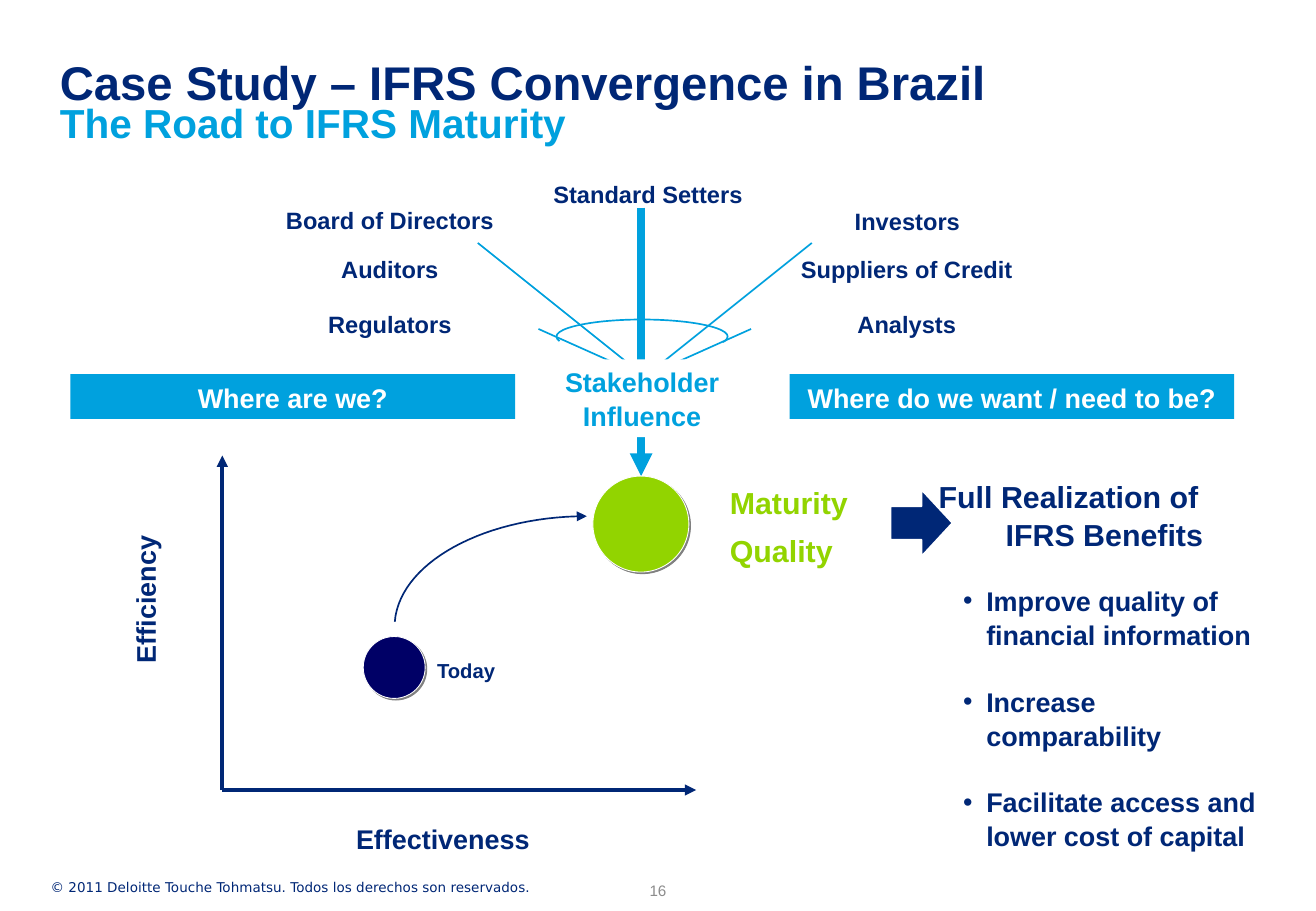
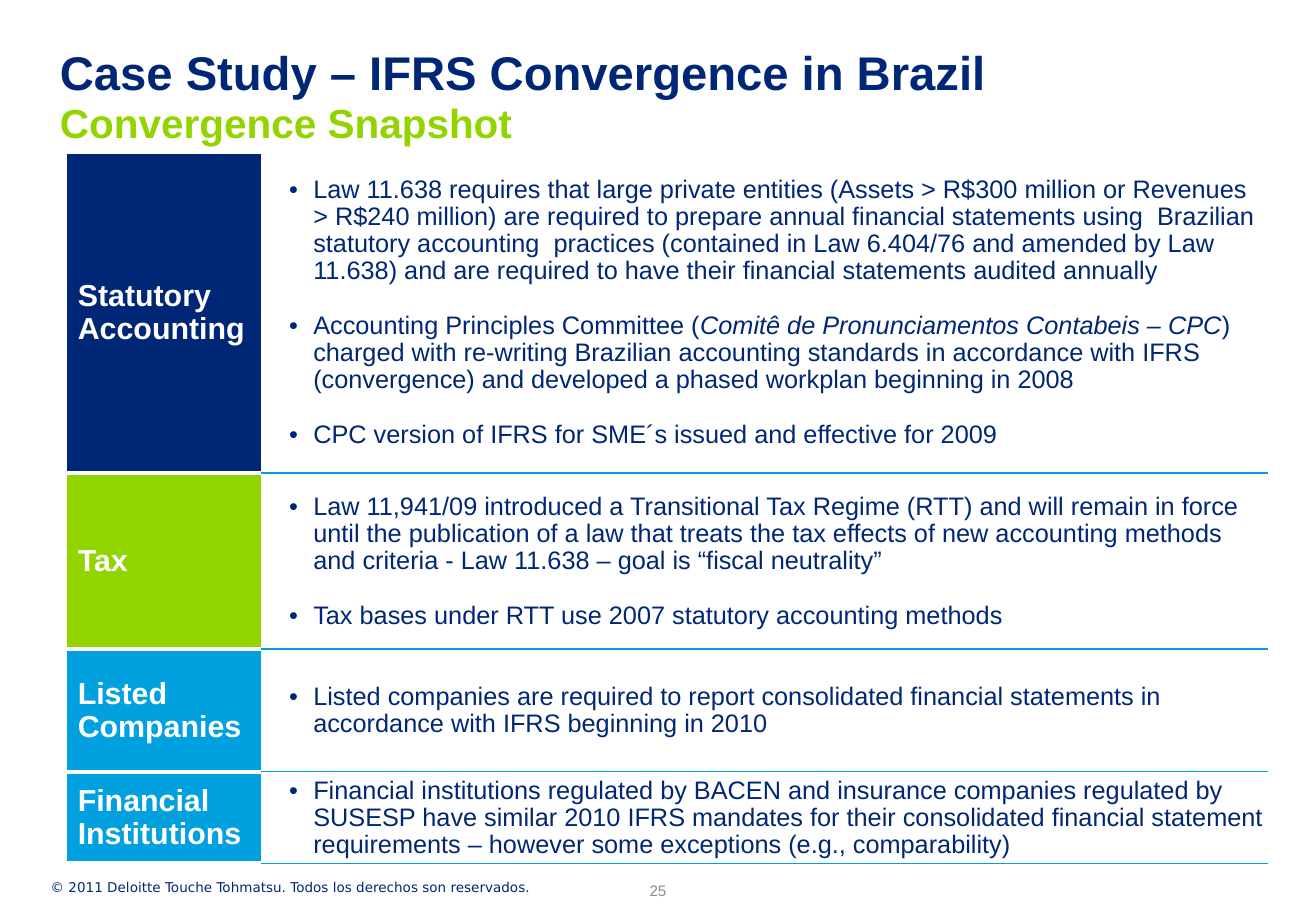
from pptx import Presentation
from pptx.dml.color import RGBColor
from pptx.enum import shapes, text
from pptx.oxml import parse_xml
from pptx.oxml.ns import nsdecls
from pptx.util import Pt

NAVY = RGBColor(0x00, 0x27, 0x76)
DEEP_BLUE = RGBColor(0x00, 0x00, 0x66)
CYAN = RGBColor(0x00, 0xA1, 0xDE)
GREEN = RGBColor(0x92, 0xD4, 0x00)
GREY = RGBColor(0x8C, 0x8C, 0x8C)
WHITE = RGBColor(0xFF, 0xFF, 0xFF)

LEFT, CENTER = text.PP_ALIGN.LEFT, text.PP_ALIGN.CENTER
MIDDLE, BOTTOM = text.MSO_ANCHOR.MIDDLE, text.MSO_ANCHOR.BOTTOM
SHAPE = shapes.MSO_SHAPE
TITLE = "Case Study – IFRS Convergence in Brazil"
COPYRIGHT = "© 2011 Deloitte Touche Tohmatsu. Todos los derechos son reservados."


def element(markup):
    """Parse one drawing element, given without its namespace."""
    tag, rest = markup.split(" ", 1)
    return parse_xml(f"{tag} {nsdecls('a')} {rest}")


class Deck:
    def __init__(self):
        self.presentation = Presentation()
        self.presentation.slide_width = Pt(780)
        self.presentation.slide_height = Pt(540)
        self.slide = None

    def new_slide(self, subtitle, color, number, title_top, title_spacing):
        """Start a slide with its title, subtitle and footer."""
        self.slide = self.presentation.slides.add_slide(self.presentation.slide_layouts[6])
        self.label(subtitle, 35.5, 61.2, 711, 25, size=24, color=color, spacing=0.9, inset=0)
        self.label(TITLE, 35.5, title_top, 715, 31, size=28, spacing=title_spacing, inset=0)
        self.label(COPYRIGHT, 23, 517, 402, 17, size=8, bold=False, font="DejaVu Sans")
        self.label(number, 299, 507.6, 182, 29, size=9, color=GREY, bold=False,
                   align=CENTER, anchor=BOTTOM)

    def fill_text(self, frame, paragraphs, size=14, color=NAVY, bold=True, align=LEFT,
                  spacing=1.05, gap=0, margin=0, indent=0, bullet=False, font="Arial"):
        """Fill a frame; in a paragraph given as a tuple every second run is italic."""
        frame.word_wrap = True
        if isinstance(paragraphs, str):
            paragraphs = [paragraphs]
        for index, content in enumerate(paragraphs):
            paragraph = frame.add_paragraph() if index else frame.paragraphs[0]
            properties = paragraph._p.get_or_add_pPr()
            properties.set("marL", str(Pt(margin)))
            properties.set("indent", str(Pt(indent)))
            if bullet:
                properties.append(element('<a:buFont typeface="Arial"/>'))
                properties.append(element('<a:buChar char="•"/>'))
            paragraph.alignment = align
            paragraph.line_spacing = spacing
            if index:
                paragraph.space_before = Pt(gap)
            runs = (content,) if isinstance(content, str) else content
            for position, words in enumerate(runs):
                for line_number, line in enumerate(words.split("\n")):
                    if line_number:
                        paragraph.add_line_break()
                    run = paragraph.add_run()
                    run.text = line
                    run.font.name = font
                    run.font.size = Pt(size)
                    run.font.bold = bold
                    run.font.italic = position % 2 == 1
                    run.font.color.rgb = color

    def label(self, words, left, top, width, height, inset=None, anchor=None,
              rotation=0, **style):
        box = self.slide.shapes.add_textbox(Pt(left), Pt(top), Pt(width), Pt(height))
        box.rotation = rotation
        frame = box.text_frame
        if inset is not None:
            frame.margin_left = frame.margin_right = Pt(inset)
            frame.margin_top = frame.margin_bottom = Pt(inset)
        if anchor is not None:
            frame.vertical_anchor = anchor
        self.fill_text(frame, words, **style)

    def shape(self, kind, left, top, width, height, fill=None, line=None, line_width=1,
              words=None, shadow=False, **style):
        shape = self.slide.shapes.add_shape(kind, Pt(left), Pt(top), Pt(width), Pt(height))
        self.paint(shape, fill, line, line_width)
        if shadow:
            shape._element.spPr.find("{*}effectLst").append(element(
                f'<a:outerShdw blurRad="0" dist="{Pt(1.4)}" dir="2700000" algn="ctr" '
                'rotWithShape="0"><a:srgbClr val="808080"/></a:outerShdw>'))
        if words:
            shape.text_frame.vertical_anchor = MIDDLE
            self.fill_text(shape.text_frame, words, align=CENTER, **style)
        return shape

    def paint(self, shape, fill, line, line_width):
        if fill is None:
            shape.fill.background()
        else:
            shape.fill.solid()
            shape.fill.fore_color.rgb = fill
        if line is None:
            shape.line.fill.background()
        else:
            shape.line.color.rgb = line
            shape.line.width = Pt(line_width)
        shape.shadow.inherit = False

    def add_arrowhead(self, shape):
        shape.line._get_or_add_ln().append(element('<a:tailEnd type="triangle"/>'))

    def line(self, start, end, color, width, arrow=False):
        connector = self.slide.shapes.add_connector(
            shapes.MSO_CONNECTOR.STRAIGHT, *(Pt(value) for value in start + end))
        connector.line.color.rgb = color
        connector.line.width = Pt(width)
        if arrow:
            self.add_arrowhead(connector)
        connector._element.spPr.append(element("<a:effectLst />"))

    def curve_arrow(self, controls, color, width, steps=30):
        """Draw a cubic Bézier curve, given by four points, with an arrowhead."""
        points = []
        for step in range(steps + 1):
            t = step / steps
            weights = ((1 - t) ** 3, 3 * t * (1 - t) ** 2, 3 * t * t * (1 - t), t ** 3)
            points.append(tuple(Pt(sum(weight * point[axis] for weight, point
                                       in zip(weights, controls))) for axis in (0, 1)))
        builder = self.slide.shapes.build_freeform(*points[0])
        builder.add_line_segments(points[1:], close=False)
        curve = builder.convert_to_shape()
        self.paint(curve, None, color, width)
        self.add_arrowhead(curve)

    def table(self, left, top, widths, rows):
        """Rows are (height, label, label fill, bullet paragraphs)."""
        table = self.slide.shapes.add_table(
            len(rows), len(widths), Pt(left), Pt(top), Pt(sum(widths)),
            Pt(sum(row[0] for row in rows))).table
        table.first_row = table.horz_banding = False
        for column, width in zip(table.columns, widths):
            column.width = Pt(width)
        for index, (height, heading, fill, bullets) in enumerate(rows):
            table.rows[index].height = Pt(height)
            heading_cell, detail_cell = table.rows[index].cells
            self.style_cell(heading_cell, fill)
            self.fill_text(heading_cell.text_frame, heading, size=18, color=WHITE,
                           spacing=0.97, margin=7.2)
            self.style_cell(detail_cell, WHITE, top_rule=index > 0, bottom_rule=True)
            self.fill_text(detail_cell.text_frame, bullets, size=15, bold=False,
                           spacing=0.96, gap=16.6, margin=28.8, indent=-14.4, bullet=True)

    def style_cell(self, cell, fill, top_rule=False, bottom_rule=False):
        """Set fill and borders: a thin cyan rule where asked, thick white elsewhere."""
        cell.vertical_anchor = MIDDLE
        cell.margin_left = cell.margin_right = cell.margin_top = Pt(0.72)
        cell.margin_bottom = 0
        properties = cell._tc.get_or_add_tcPr()
        for side, rule in (("L", False), ("R", False), ("T", top_rule), ("B", bottom_rule)):
            color, width = (CYAN, 1) if rule else (WHITE, 3)
            properties.append(element(
                f'<a:ln{side} w="{Pt(width)}"><a:solidFill><a:srgbClr val="{color}"/>'
                f'</a:solidFill></a:ln{side}>'))
        cell.fill.solid()
        cell.fill.fore_color.rgb = fill


def build_maturity(deck):
    deck.new_slide("The Road to IFRS Maturity", CYAN, "16", 35.3, 0.9)

    origin = (131.8, 468.3)
    deck.line(origin, (412.6, 468.3), NAVY, 2.25, arrow=True)
    deck.line(origin, (131.8, 270), NAVY, 2.25, arrow=True)
    deck.curve_arrow([(234, 368.6), (236.9, 333.4), (287.3, 306), (347.8, 306)], NAVY, 1)
    deck.shape(SHAPE.OVAL, 215.3, 377.3, 36.7, 36.7, DEEP_BLUE, WHITE, 0.5, shadow=True)
    deck.label("Effectiveness", 185.8, 483, 153.4, 26.6, size=16, align=CENTER)
    deck.label("Efficiency", 14.4, 342, 141.8, 26.6, size=16, align=CENTER, rotation=270)
    deck.label("Today", 252, 386, 153.4, 21.6, size=12)
    deck.label(["Maturity", "Quality"], 425.5, 282.2, 138.2, 57, size=18, color=GREEN, gap=6)

    for name, center, top in (
            ("Standard Setters", 384.1, 102.2),
            ("Board of Directors", 231.1, 117.5), ("Investors", 537.8, 118),
            ("Auditors", 231.1, 147), ("Suppliers of Credit", 537.5, 147),
            ("Regulators", 231.1, 179.3), ("Analysts", 537.5, 179.3)):
        deck.label(name, center - 95, top, 190, 24.5, align=CENTER)

    hub_x, hub_y = 382.2, 223.2
    for reach, top in ((63, 195), (99, 144)):
        for side in (-1, 1):
            deck.line((hub_x + side * reach, top), (hub_x, hub_y), CYAN, 1)
    deck.line((380, 123.1), (380, 282.2), CYAN, 4.5, arrow=True)
    arc = deck.shape(SHAPE.ARC, 329.8, 189.4, 101.5, 20.2, line=CYAN)
    arc.adjustments[0], arc.adjustments[1] = 106.13, 2.36
    deck.shape(SHAPE.RECTANGLE, 319, 213.1, 123.1, 46.1, WHITE,
               words="Stakeholder Influence", size=16, color=CYAN)

    deck.label("Full Realization of\nIFRS Benefits", 527.8, 278.6, 246.2, 51, size=18,
               margin=61.2, indent=-39.7)
    deck.shape(SHAPE.RIGHT_ARROW, 527.8, 290.2, 36.7, 39.6, NAVY, WHITE)
    deck.shape(SHAPE.OVAL, 351.4, 282.2, 56.9, 56.9, GREEN, WHITE, 0.5, shadow=True)
    for question, left in (("Where are we?", 41.8), ("Where do we want / need to be?", 468)):
        deck.shape(SHAPE.RECTANGLE, left, 221.8, 263.5, 26.6, CYAN,
                   words=question, size=16, color=WHITE)
    deck.label(["Improve quality of financial information", "Increase comparability",
                "Facilitate access and lower cost of capital"],
               563.8, 342, 198, 162.7, size=16, gap=19.4, margin=13.7, indent=-13.7,
               bullet=True)


def build_snapshot(deck):
    deck.new_slide("Convergence Snapshot", GREEN, "25", 27.4, Pt(31.9))
    deck.table(38.2, 90, (118, 594), [
        (190.4, "Statutory Accounting", NAVY, [
            "Law 11.638 requires that large private entities (Assets > R$300 million or "
            "Revenues > R$240 million) are required to prepare annual financial statements "
            "using  Brazilian statutory accounting  practices (contained in Law 6.404/76 and "
            "amended by Law 11.638) and are required to have their financial statements "
            "audited annually",
            ("Accounting Principles Committee (", "Comitê de Pronunciamentos Contabeis – CPC",
             ") charged with re-writing Brazilian accounting standards in accordance with "
             "IFRS (convergence) and developed a phased workplan beginning in 2008"),
            "CPC version of IFRS for SME´s issued and effective for 2009"]),
        (104.4, "Tax", GREEN, [
            "Law 11,941/09 introduced a Transitional Tax Regime (RTT) and will remain in "
            "force until the publication of a law that treats the tax effects of new "
            "accounting methods and criteria - Law 11.638 – goal is “fiscal neutrality”",
            "Tax bases under RTT use 2007 statutory accounting methods"]),
        (72.7, "Listed Companies", CYAN, [
            "Listed companies are required to report consolidated financial statements in "
            "accordance with IFRS beginning in 2010"]),
        (54.5, "Financial Institutions", CYAN, [
            "Financial institutions regulated by BACEN and insurance companies regulated by "
            "SUSESP have similar 2010 IFRS mandates for their consolidated financial "
            "statement requirements – however some exceptions (e.g., comparability)"])])


def main():
    deck = Deck()
    build_maturity(deck)
    build_snapshot(deck)
    deck.presentation.save("out.pptx")


if __name__ == "__main__":
    main()
